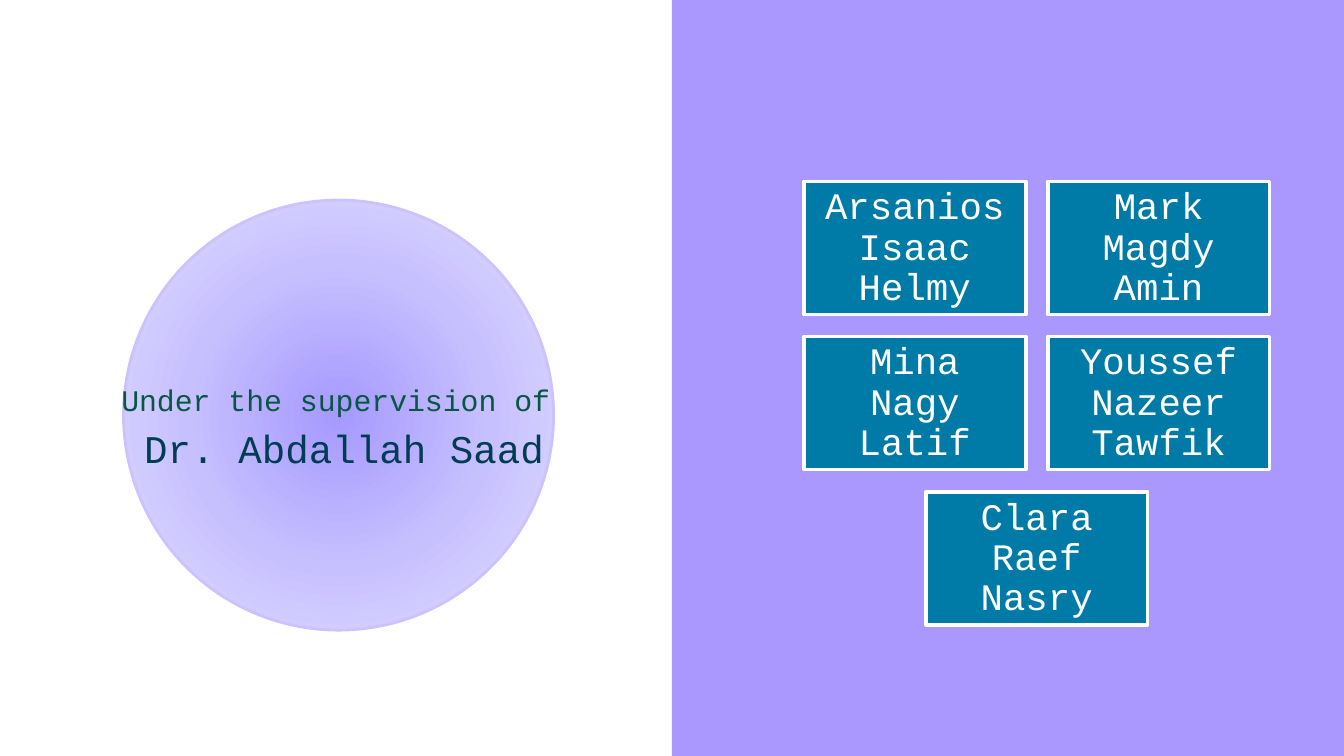
from pptx import Presentation
from pptx.dml.color import RGBColor
from pptx.enum.shapes import MSO_SHAPE as Preset
from pptx.enum.text import MSO_ANCHOR as Anchor, PP_ALIGN as Align
from pptx.oxml import parse_xml
from pptx.oxml.ns import nsdecls
from pptx.util import Pt

SLIDE_WIDTH, SLIDE_HEIGHT = 720, 405
TEAM_ROWS = [
    ["Arsanios Isaac Helmy", "Mark Magdy Amin"],
    ["Mina Nagy Latif", "Youssef Nazeer Tawfik"],
    ["Clara Raef Nasry"],
]
GLOW_STOPS = [(0, "A699FF"), (50, "C7C0FF"), (100, "E3E0FF")]


def color(hex_value):
    """Turn a hex string into a colour."""
    return RGBColor.from_string(hex_value)


def add_block(slide, preset, left, top, width, height, fill=None, line=None, weight=1):
    """Add a preset shape without shadow, with optional fill and outline."""
    block = slide.shapes.add_shape(preset, Pt(left), Pt(top), Pt(width), Pt(height))
    block.shadow.inherit = False
    if fill:
        block.fill.solid()
        block.fill.fore_color.rgb = color(fill)
    else:
        block.fill.background()
    if line:
        block.line.color.rgb = color(line)
        block.line.width = Pt(weight)
    else:
        block.line.fill.background()
    return block


def write(holder, wording, size, ink, anchor, inset):
    """Write one centred line of wrapping text and return its paragraph."""
    frame = holder.text_frame
    frame.word_wrap = True
    frame.vertical_anchor = anchor
    frame.margin_left = frame.margin_right = Pt(inset)
    frame.margin_top = frame.margin_bottom = Pt(inset)
    paragraph = frame.paragraphs[0]
    paragraph.alignment = Align.CENTER
    run = paragraph.add_run()
    run.text = wording
    run.font.name = "Courier New"
    run.font.size = Pt(size)
    run.font.color.rgb = color(ink)
    return paragraph


def apply_glow(block, stops):
    """Replace the empty fill of a shape with a circular gradient."""
    stop_xml = "".join(
        f'<a:gs pos="{percent * 1000}"><a:srgbClr val="{tint}"/></a:gs>'
        for percent, tint in stops
    )
    glow = parse_xml(
        f'<a:gradFill {nsdecls("a")} rotWithShape="1"><a:gsLst>{stop_xml}</a:gsLst>'
        '<a:path path="circle"><a:fillToRect l="50000" t="50000" r="50000" b="50000"/>'
        "</a:path></a:gradFill>"
    )
    properties = block.element.spPr
    properties.replace(properties.find("{*}noFill"), glow)


def add_supervisor(slide, left, top, width):
    """Place the glowing circle and the supervisor's heading and name."""
    diameter = 230.4
    circle = add_block(slide, Preset.OVAL, left + 45.4, top, diameter, diameter,
                       line="CDC1FF", weight=1.5)
    apply_glow(circle, GLOW_STOPS)
    heading = slide.shapes.add_textbox(Pt(left), Pt(top + 7.2), Pt(width), Pt(116.6))
    write(heading, "Under the supervision of", 16, "075842", Anchor.BOTTOM, 7.2)
    name = slide.shapes.add_textbox(Pt(left), Pt(top + 113), Pt(width), Pt(97.2))
    paragraph = write(name, "Dr. Abdallah Saad", 21, "003D54", Anchor.TOP, 7.2)
    indents = paragraph._p.get_or_add_pPr()
    indents.set("marL", str(Pt(36)))
    indents.set("indent", str(Pt(-27)))


def add_team(slide, left, top, width):
    """Place the team cards in rows, each centred in the given width."""
    card_width, card_height, gap = 118.8, 71.3, 11.8
    for index, members in enumerate(TEAM_ROWS):
        row_width = len(members) * (card_width + gap) - gap
        row_left = left + (width - row_width) / 2
        for column, member in enumerate(members):
            card = add_block(slide, Preset.RECTANGLE,
                             row_left + column * (card_width + gap),
                             top + index * (card_height + gap),
                             card_width, card_height, "007BA8", "FFFFFF", 2)
            paragraph = write(card, member, 20, "FFFFFF", Anchor.MIDDLE, 6)
            paragraph.line_spacing = 0.9


def main():
    """Build and save the slide."""
    deck = Presentation()
    deck.slide_width, deck.slide_height = Pt(SLIDE_WIDTH), Pt(SLIDE_HEIGHT)
    slide = deck.slides.add_slide(deck.slide_layouts[6])
    half = SLIDE_WIDTH / 2
    add_block(slide, Preset.RECTANGLE, half, 0, half, SLIDE_HEIGHT, "AB98FF")
    add_supervisor(slide, 20.8, 107.2, 318.2)
    add_team(slide, 430.6, 97.2, 249.6)
    deck.save("out.pptx")


if __name__ == "__main__":
    main()
